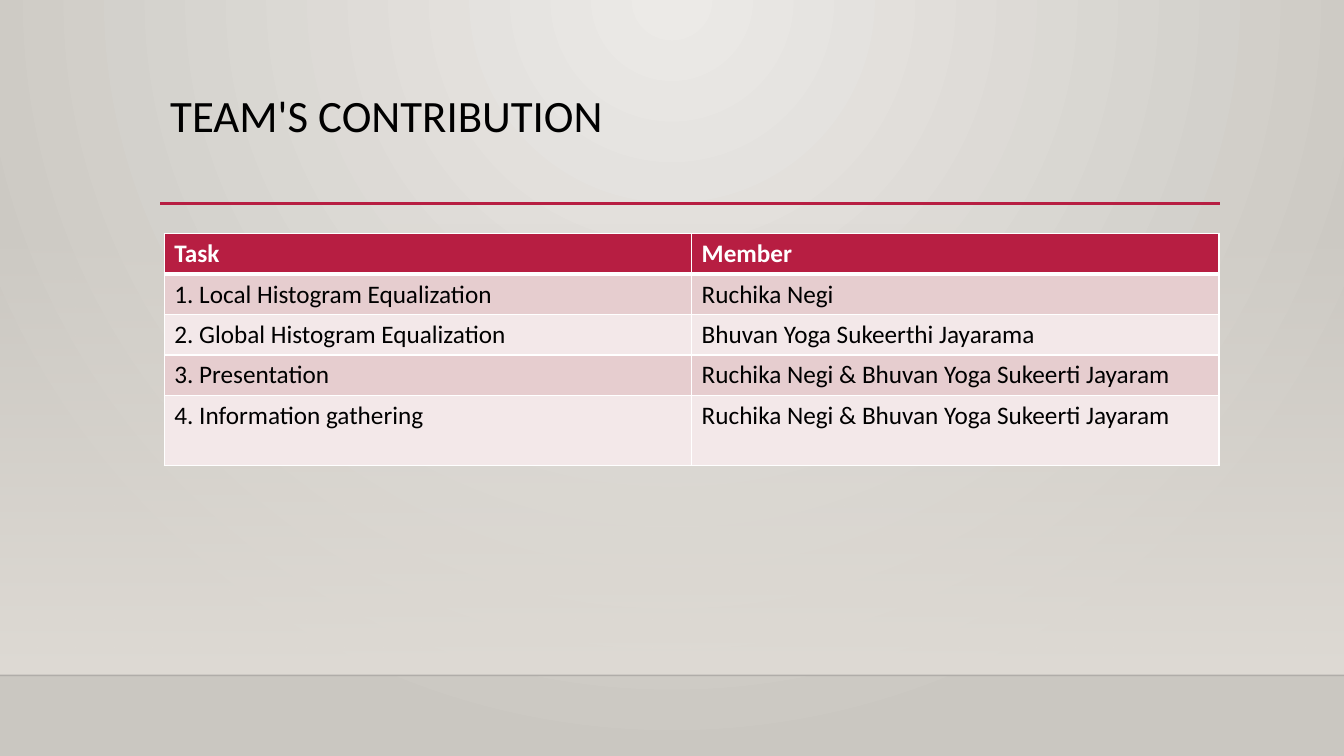
from pptx import Presentation
from pptx import util as u
from pptx.dml.color import RGBColor
from pptx.enum import shapes, text
from pptx.oxml import parse_xml
from pptx.oxml.ns import nsdecls, qn

RED = RGBColor(0xB7, 0x1E, 0x42)
ROSE = RGBColor(0xE6, 0xCD, 0xCF)
PALE = RGBColor(0xF3, 0xE8, 0xE9)
WHITE = RGBColor(0xFF, 0xFF, 0xFF)
BLACK = RGBColor(0, 0, 0)
INK = RGBColor(0, 0, 1)
SAND = RGBColor(0xDF, 0xDB, 0xD5)
LIGHT = RGBColor(0xEC, 0xEA, 0xE7)
STONE = RGBColor(0xCA, 0xC7, 0xC1)

FONT = "Calibri"
WIDE, HIGH = 13.33, 7.5
LEFT, RIGHT = 1.59, 12.1
FLOOR = 6.7
ROWS = [
    ("Task", "Member"),
    ("1. Local Histogram Equalization", "Ruchika Negi"),
    ("2. Global Histogram Equalization", "Bhuvan Yoga Sukeerthi Jayarama"),
    ("3. Presentation", "Ruchika Negi & Bhuvan Yoga Sukeerti Jayaram"),
    ("4. Information gathering", "Ruchika Negi & Bhuvan Yoga Sukeerti Jayaram"),
]


def inches(*sizes):
    return [u.Inches(size) for size in sizes]


def set_font(para, size, color, bold=False):
    font = para.font
    font.name, font.size, font.bold = FONT, u.Pt(size), bold
    font.color.rgb = color


def set_blend(owner, fill, stops, course):
    """Fill with (place, colour, opacity) stops along the given course."""
    fill.gradient()
    old = owner.find(".//" + qn("a:gradFill"))
    marks = "".join(
        f'<a:gs pos="{place * 1000}"><a:srgbClr val="{color}">'
        f'<a:alpha val="{share * 1000}"/></a:srgbClr></a:gs>'
        for place, color, share in stops)
    new = parse_xml(f'<a:gradFill {nsdecls("a")} rotWithShape="1">'
                    f'<a:gsLst>{marks}</a:gsLst>{course}</a:gradFill>')
    old.getparent().replace(old, new)


def add_rule(slide, left, right, top, color, width, share=100):
    rule = slide.shapes.add_connector(
        shapes.MSO_CONNECTOR.STRAIGHT, *inches(left, top, right, top))
    rule.line.color.rgb = color
    rule.line.width = u.Pt(width)
    props = rule._element.spPr
    if share < 100:
        tone = props.find(".//" + qn("a:srgbClr"))
        tone.append(parse_xml(f'<a:alpha {nsdecls("a")} val="{share * 1000}"/>'))
    props.append(parse_xml(f'<a:effectLst {nsdecls("a")}/>'))


def add_scene(slide):
    set_blend(slide._element, slide.background.fill,
              [(0, LIGHT, 100), (100, STONE, 100)],
              '<a:path path="circle"><a:fillToRect l="43000" t="0" '
              'r="43000" b="100000"/></a:path>')
    top = 2.21
    wall = slide.shapes.add_shape(shapes.MSO_SHAPE.RECTANGLE,
                                  *inches(0, top, WIDE, FLOOR - top))
    wall.shadow.inherit = False
    wall.line.fill.background()
    set_blend(wall._element, wall.fill, [(0, SAND, 0), (100, SAND, 100)],
              '<a:lin ang="5400000" scaled="0"/>')
    add_rule(slide, 0, WIDE, FLOOR, INK, 1, share=20)


def add_title(slide, words):
    box = slide.shapes.add_textbox(*inches(LEFT, 0.88, 10.5, 1.15))
    frame = box.text_frame
    frame.word_wrap = True
    frame.vertical_anchor = text.MSO_ANCHOR.TOP
    para = frame.paragraphs[0]
    para.text = words
    para.line_spacing = 0.9
    set_font(para, 32, BLACK)


def set_edges(cell, above, below):
    props = cell._tc.get_or_add_tcPr()
    widths = {"L": 1, "R": 1, "T": above, "B": below}
    for spot, (side, width) in enumerate(widths.items()):
        props.insert(spot, parse_xml(
            f'<a:ln{side} {nsdecls("a")} w="{u.Pt(width)}"><a:solidFill>'
            f'<a:srgbClr val="{WHITE}"/></a:solidFill></a:ln{side}>'))


def add_grid(slide, rows):
    step, last = 0.4, 0.7
    high = step * (len(rows) - 1) + last
    grid = slide.shapes.add_table(len(rows), len(rows[0]),
                                  *inches(1.63, 2.32, 10.46, high)).table
    for row in grid.rows:
        row.height = u.Inches(step)
    grid.rows[len(rows) - 1].height = u.Inches(last)
    for r, row in enumerate(rows):
        head = r == 0
        for c, words in enumerate(row):
            cell = grid.cell(r, c)
            cell.text = words
            set_font(cell.text_frame.paragraphs[0], 18,
                     WHITE if head else BLACK, bold=head)
            cell.fill.solid()
            cell.fill.fore_color.rgb = RED if head else (PALE, ROSE)[r % 2]
            set_edges(cell, 3 if r == 1 else 1, 3 if head else 1)


def main():
    deck = Presentation()
    deck.slide_width, deck.slide_height = inches(WIDE, HIGH)
    slide = deck.slides.add_slide(deck.slide_layouts[6])
    # Backdrop
    add_scene(slide)
    # Heading
    add_rule(slide, LEFT, RIGHT, 2.02, RED, 2.5)
    add_title(slide, "TEAM'S CONTRIBUTION")
    # Tasks and members
    add_grid(slide, ROWS)
    deck.save("out.pptx")


if __name__ == "__main__":
    main()
